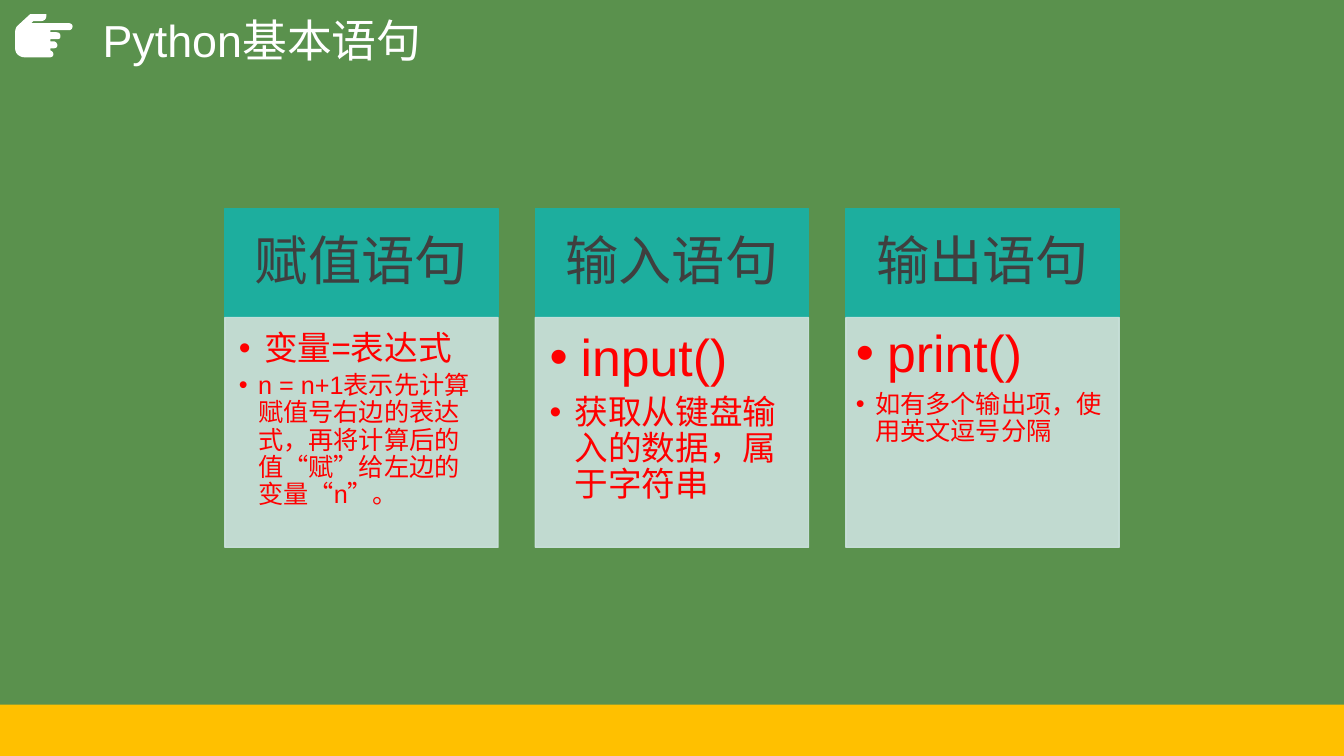
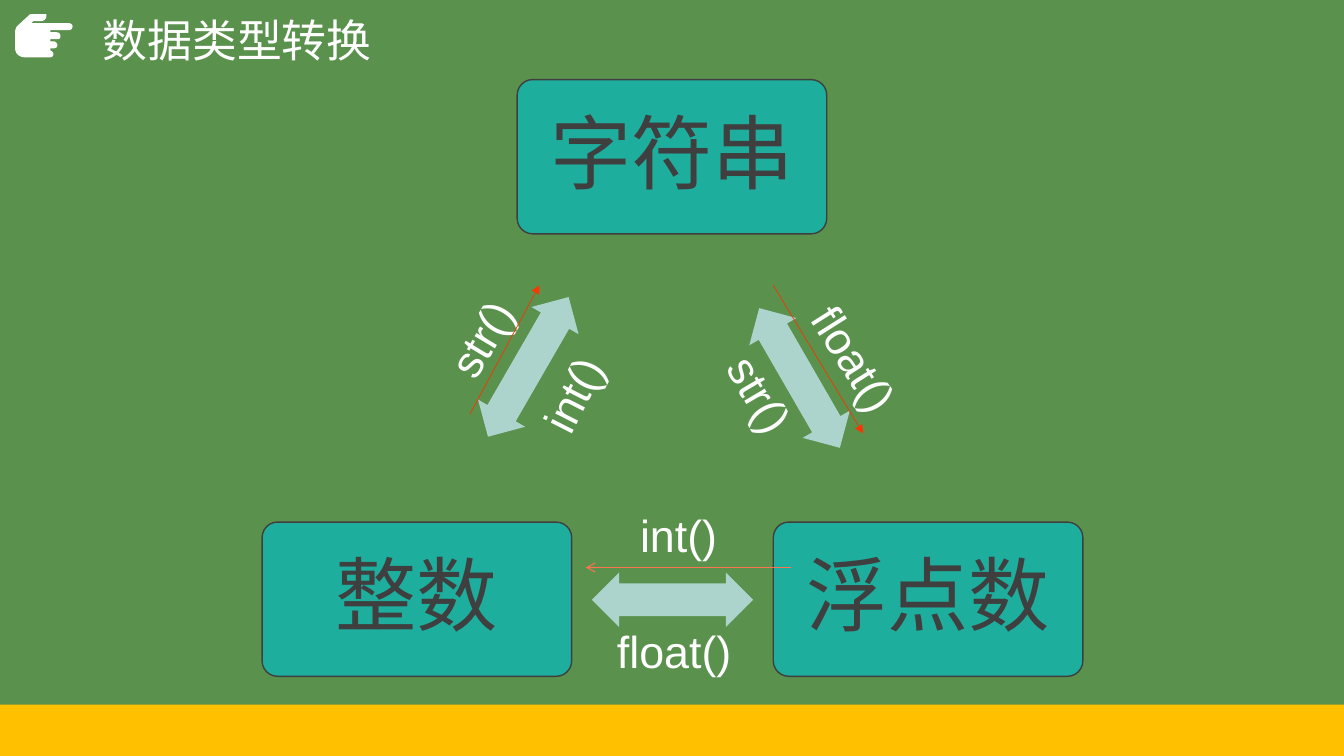
from lxml import etree
from pptx import Presentation, util as u
from pptx.dml.color import RGBColor
from pptx.enum import shapes, text
from pptx.oxml import ns

FONT = "Arial"
COLORS = {
    "board": "5A914D", "band": "FFC000", "white": "FFFFFF",
    "teal": "1DAE9E", "pale": "CDE3DF", "ink": "3F3F3F",
    "red": "FF0000", "arrow": "ACD3CC", "path": "FB3400", "light": "FF7450",
}
SHAPE = shapes.MSO_SHAPE
LEFT, CENTER = text.PP_ALIGN.LEFT, text.PP_ALIGN.CENTER
TOP, MIDDLE = text.MSO_ANCHOR.TOP, text.MSO_ANCHOR.MIDDLE

HAND = [
    (0.53, 0.54), (0.53, 0.52, 0.52, 0.51, 0.5, 0.5), (0.5, 0.48), (0.53, 0.48),
    (0.55, 0.48, 0.57, 0.47, 0.57, 0.45), (0.57, 0.43, 0.55, 0.41, 0.53, 0.41),
    (0.5, 0.41), (0.5, 0.39), (0.56, 0.39),
    (0.59, 0.39, 0.6, 0.38, 0.6, 0.36), (0.6, 0.34, 0.59, 0.32, 0.56, 0.32),
    (0.5, 0.32), (0.5, 0.3), (0.68, 0.3),
    (0.7, 0.3, 0.72, 0.29, 0.72, 0.26), (0.72, 0.24, 0.7, 0.23, 0.68, 0.23),
    (0.31, 0.23), (0.33, 0.21), (0.4, 0.21),
    (0.44, 0.21, 0.46, 0.19, 0.46, 0.16), (0.46, 0.14), (0.3, 0.14), (0.17, 0.26),
    (0.16, 0.27, 0.15, 0.3, 0.15, 0.32), (0.15, 0.48),
    (0.15, 0.53, 0.19, 0.57, 0.25, 0.57), (0.49, 0.57),
    (0.51, 0.57, 0.53, 0.56, 0.53, 0.54),
]

CARDS = [
    ("赋值语句", (0.14, 0.14, 0.19, 0.21), [
        ("变量=表达式", 24, 0.25),
        ("n = n+1表示先计算赋值号右边的表达式，再将计算后的值“赋”给左边的变量“n”。", 18, 0.19)]),
    ("输入语句", (0.14, 0.14, 0.19, 0.21), [
        ("input()", 37, 0.31),
        ("获取从键盘输入的数据，属于字符串", 24, 0.25)]),
    ("输出语句", (0.1, 0.1, 0.14, 0.16), [
        ("print()", 37, 0.31),
        ("如有多个输出项，使用英文逗号分隔", 18, 0.19)]),
]

TYPES = [("字符串", 5.13, 0.79), ("浮点数", 7.67, 5.18), ("整数", 2.6, 5.18)]
ARROWS = [(7.13, 3.48, 60), (5.87, 5.68, 0), (4.44, 3.37, 300)]
LABELS = [
    ("str()", 7.02, 3.64, 1.1, 59.5), ("float()", 7.76, 3.33, 1.55, 57.6),
    ("int()", 5.16, 3.53, 1.1, 297), ("int()", 6.25, 4.99, 1.1, 0),
    ("float()", 6.02, 6.14, 1.55, 0), ("str()", 4.25, 2.99, 1.1, 301.2),
]
PATHS = [
    ((4.66, 4.11), (5.35, 2.83), "path", 0.5, "triangle"),
    ((7.67, 2.83), (8.56, 4.3), "path", 0.5, "triangle"),
    ((7.85, 5.63), (5.81, 5.63), "light", 0.75, "arrow"),
]


def inches(*vals):
    return [u.Inches(val) for val in vals]


def paint(fill, color, alpha=None):
    fill.solid()
    fill.fore_color.rgb = RGBColor.from_string(COLORS[color])
    if alpha:
        for node in fill._xPr.iter(ns.qn("a:srgbClr")):
            etree.SubElement(node, ns.qn("a:alpha"), val=str(alpha * 1000))


def style(shape, fill, line=None, alpha=None):
    shape.shadow.inherit = False
    paint(shape.fill, fill, alpha)
    if line:
        shape.line.width = u.Pt(1)
        paint(shape.line.fill, line, alpha)
    else:
        shape.line.fill.background()
    return shape


def block(slide, kind, box, fill, line=None, alpha=None):
    return style(slide.shapes.add_shape(kind, *inches(*box)), fill, line, alpha)


def bullet(para, indent):
    para.level = 1
    props = para._p.get_or_add_pPr()
    props.set("marL", str(u.Inches(indent)))
    props.set("indent", str(-u.Inches(indent)))
    etree.SubElement(props, ns.qn("a:buFont"), typeface=FONT)
    etree.SubElement(props, ns.qn("a:buChar"), char="•")


def write(shape, items, color, align=LEFT, anchor=TOP,
          inset=(0.1, 0.05, 0.1, 0.05), gap=0, pitch=0.9):
    frame = shape.text_frame
    frame.word_wrap = True
    frame.vertical_anchor = anchor
    (frame.margin_left, frame.margin_top,
     frame.margin_right, frame.margin_bottom) = inches(*inset)
    frame.text = "\n".join(item[0] for item in items)
    for para, (_, size, indent) in zip(frame.paragraphs, items):
        if indent:
            bullet(para, indent)
        para.alignment = align
        para.line_spacing = pitch
        para.space_after = u.Pt(size * gap)
        for run in para.runs:
            run.font.size = u.Pt(size)
            run.font.name = FONT
            run.font.color.rgb = RGBColor.from_string(COLORS[color])


def trace(parts):
    points = [parts[0]]
    for part in parts[1:]:
        if len(part) == 2:
            points.append(part)
            continue
        x0, y0 = points[-1]
        x1, y1, x2, y2, x3, y3 = part
        for step in range(1, 7):
            t = step / 6
            a, b, c, d = (1 - t) ** 3, 3 * t * (1 - t) ** 2, 3 * t * t * (1 - t), t ** 3
            points.append((a * x0 + b * x1 + c * x2 + d * x3,
                           a * y0 + b * y1 + c * y2 + d * y3))
    return [inches(*point) for point in points]


def share(deck, layout, slide):
    paint(deck.slide_master.background.fill, "board")
    for holder in list(layout.placeholders):
        holder.element.getparent().remove(holder.element)
    band = block(slide, SHAPE.RECTANGLE, (0, 6.99, 13.33, 0.51), "band")
    points = trace(HAND)
    pen = slide.shapes.build_freeform(*points[0], scale=1.0)
    pen.add_line_segments(points[1:], close=True)
    hand = style(pen.convert_to_shape(), "white")
    for shape in (band, hand):
        layout.shapes.element.append(shape.element)


def title(slide, words):
    box = slide.shapes.add_textbox(*inches(0.92, 0.09, 11.5, 0.68))
    write(box, [(words, 32, 0)], "white", anchor=MIDDLE)


def card(slide, left, head, inset, items):
    top = block(slide, SHAPE.RECTANGLE, (left, 2.07, 2.71, 1.08), "teal", "teal")
    write(top, [(head, 38, 0)], "ink", CENTER, MIDDLE, (0.2, 0.17, 0.2, 0.17), 0.35)
    body = block(slide, SHAPE.RECTANGLE, (left, 3.15, 2.71, 2.28), "pale", "pale", 90)
    write(body, items, "red", inset=inset, gap=0.15)


def node(slide, word, left, top):
    box = block(slide, SHAPE.ROUNDED_RECTANGLE, (left, top, 3.07, 1.53), "teal", "ink")
    box.adjustments[0] = 0.1
    write(box, [(word, 58, 0)], "ink", CENTER, MIDDLE, (0.24,) * 4, 0.35)


def arrow(slide, left, top, turn):
    shape = block(slide, SHAPE.LEFT_RIGHT_ARROW, (left, top, 1.6, 0.54), "arrow")
    shape.adjustments[0], shape.adjustments[1] = 0.6, 0.5
    shape.rotation = turn


def label(slide, word, left, top, width, turn):
    box = slide.shapes.add_textbox(*inches(left, top, width, 0.64))
    write(box, [(word, 32, 0)], "white", pitch=1.0)
    box.text_frame.auto_size = text.MSO_AUTO_SIZE.SHAPE_TO_FIT_TEXT
    box.rotation = turn


def route(slide, start, end, color, width, tip):
    line = slide.shapes.add_connector(
        shapes.MSO_CONNECTOR.STRAIGHT, *inches(*start, *end))
    line.line.width = u.Pt(width)
    paint(line.line.fill, color)
    etree.SubElement(line.line._get_or_add_ln(), ns.qn("a:tailEnd"), type=tip)
    etree.SubElement(line.element.spPr, ns.qn("a:effectLst"))


def main():
    deck = Presentation()
    deck.slide_width, deck.slide_height = inches(13.33, 7.5)
    layout = deck.slide_layouts[6]

    slide = deck.slides.add_slide(layout)
    share(deck, layout, slide)
    title(slide, "Python基本语句")
    for i, (head, inset, items) in enumerate(CARDS):
        card(slide, 2.23 + i * 3.08, head, inset, items)

    slide = deck.slides.add_slide(layout)
    title(slide, "数据类型转换")
    for make, rows in ((node, TYPES), (arrow, ARROWS), (label, LABELS), (route, PATHS)):
        for row in rows:
            make(slide, *row)

    deck.save("out.pptx")


if __name__ == "__main__":
    main()
